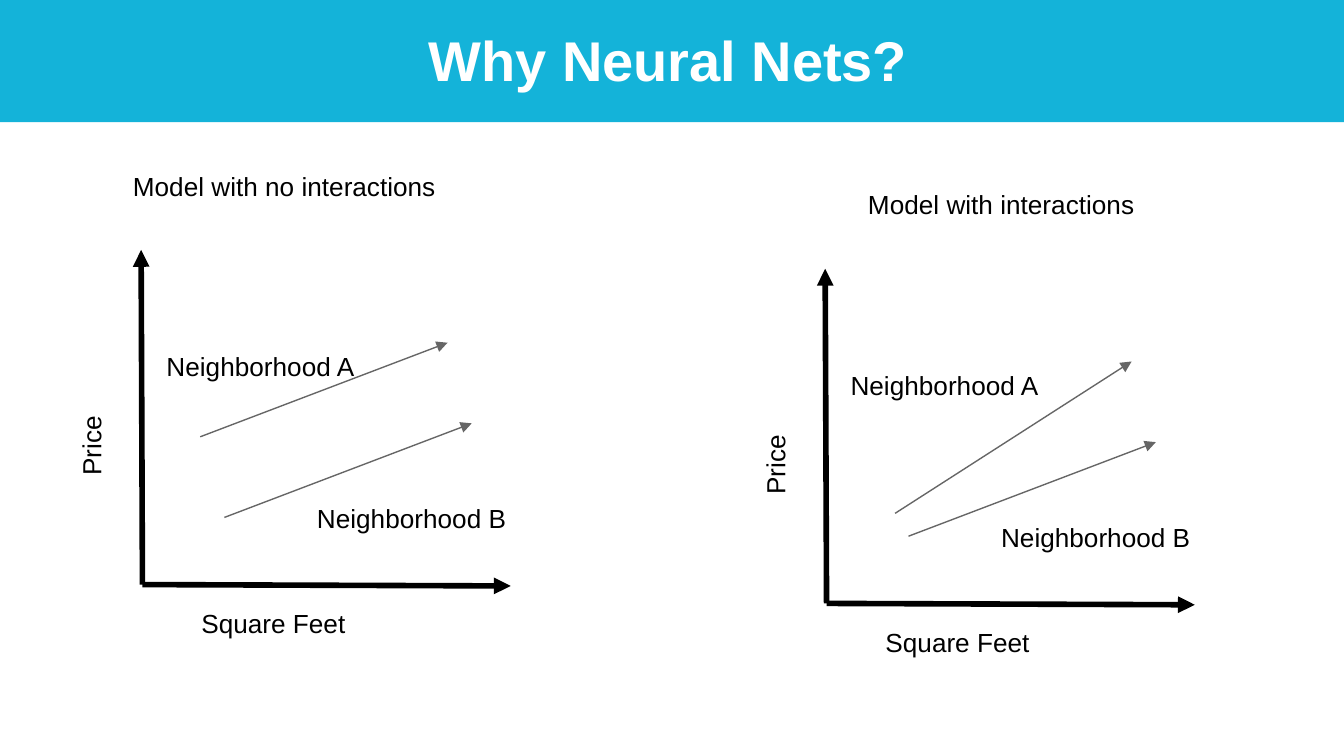
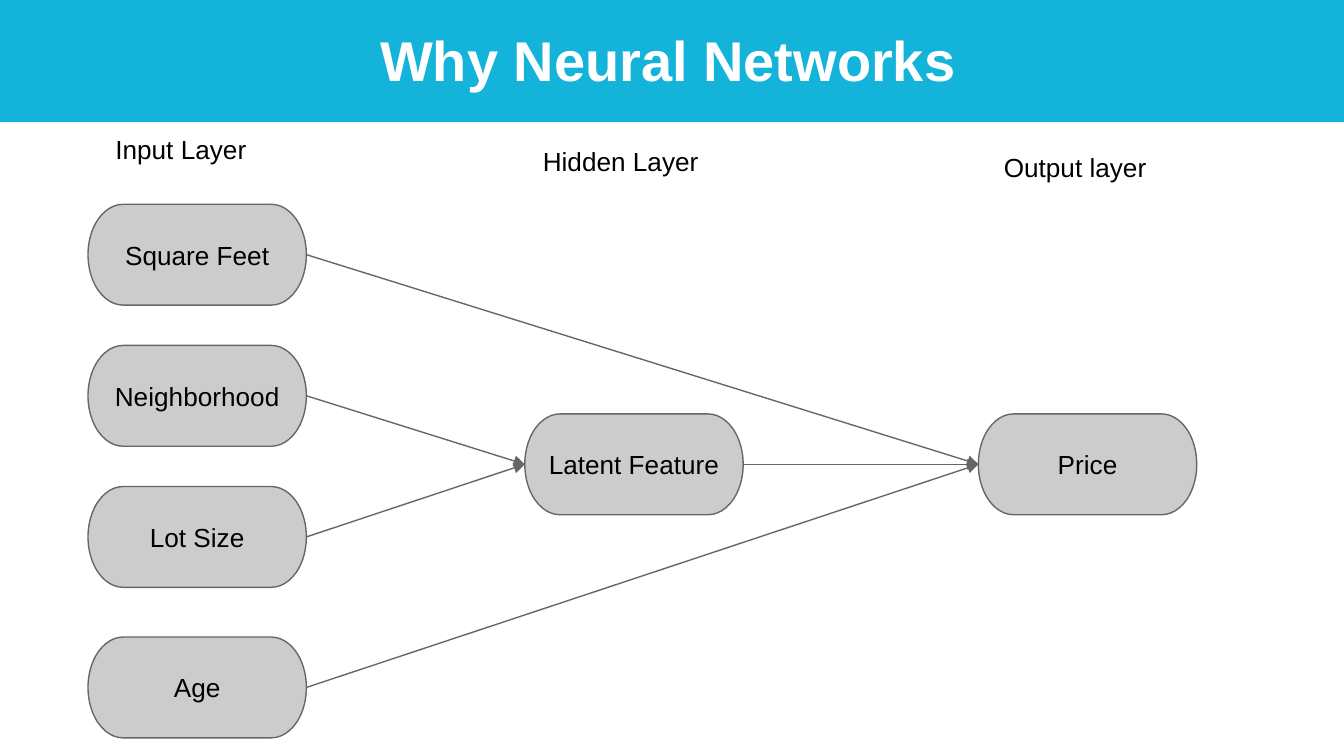
from dataclasses import dataclass

from lxml.etree import SubElement
from pptx import Presentation
from pptx.dml.color import RGBColor
from pptx.enum.shapes import MSO_CONNECTOR, MSO_SHAPE
from pptx.enum.text import MSO_ANCHOR, MSO_AUTO_SIZE, PP_ALIGN
from pptx.oxml.ns import qn
from pptx.util import Inches, Pt


@dataclass(frozen=True)
class Theme:
    font: str = "Arial"
    title_size: float = 30
    body_size: float = 14
    axis_width: float = 3
    thin_width: float = 0.75
    band: RGBColor = RGBColor(0x14, 0xB3, 0xD9)
    white: RGBColor = RGBColor(0xFF, 0xFF, 0xFF)
    black: RGBColor = RGBColor(0, 0, 0)
    node: RGBColor = RGBColor(0xCC, 0xCC, 0xCC)
    grey: RGBColor = RGBColor(0x66, 0x66, 0x66)


THEME = Theme()

# Grid of 100 columns by 56.25 rows; every cell is a tenth of an inch
COLUMNS, ROWS = 100, 56.25
INSET = 1
NODE_SIZE = (16.25, 7.5)
TOP, LEFT, BOTTOM, RIGHT = range(4)  # connection sites of a node


def cells(*counts):
    return [Inches(count / 10) for count in counts]


def set_all(target, values):
    for name, value in values.items():
        setattr(target, name, value)


def write(shape, words, anchor=MSO_ANCHOR.TOP, align=PP_ALIGN.LEFT,
          size=THEME.body_size, color=THEME.black, bold=False):
    frame = shape.text_frame
    frame.text = words
    inset = cells(INSET)[0]
    set_all(frame, {
        "word_wrap": True, "auto_size": MSO_AUTO_SIZE.NONE,
        "vertical_anchor": anchor,
        "margin_left": inset, "margin_right": inset,
        "margin_top": inset, "margin_bottom": inset,
    })
    paragraph = frame.paragraphs[0]
    paragraph.alignment = align
    font = paragraph.runs[0].font
    set_all(font, {"name": THEME.font, "size": Pt(size), "bold": bold})
    font.color.rgb = color


def add_titled_slide(deck, heading):
    slide = deck.slides.add_slide(deck.slide_layouts[5])
    title = slide.shapes.title
    set_all(title, dict(zip(("left", "top", "width", "height"),
                            cells(0.7, 0.9, 98, 7.5))))
    write(title, heading, align=PP_ALIGN.CENTER, size=THEME.title_size,
          color=THEME.white, bold=True)

    # Band behind the title
    band = slide.shapes.add_shape(MSO_SHAPE.RECTANGLE, *cells(0, 0, COLUMNS, 9.1))
    band.shadow.inherit = False
    band.fill.solid()
    band.fill.fore_color.rgb = THEME.band
    band.line.fill.background()
    title.element.addprevious(band.element)
    return slide


def add_label(slide, words, column, row, width, height=3.2, rotation=0):
    label = slide.shapes.add_textbox(*cells(column, row, width, height))
    label.rotation = rotation
    write(label, words)


def add_arrow(slide, start=(0, 0), end=(0, 0), color=THEME.grey,
              width=THEME.thin_width):
    arrow = slide.shapes.add_connector(MSO_CONNECTOR.STRAIGHT, *cells(*start, *end))
    arrow.line.color.rgb = color
    arrow.line.width = Pt(width)
    SubElement(arrow.line._get_or_add_ln(), qn("a:tailEnd"), type="triangle")
    SubElement(arrow.element.spPr, qn("a:effectLst"))
    return arrow


def add_node(slide, words, column, row):
    node = slide.shapes.add_shape(MSO_SHAPE.FLOWCHART_TERMINATOR,
                                  *cells(column, row, *NODE_SIZE))
    node.shadow.inherit = False
    node.fill.solid()
    node.fill.fore_color.rgb = THEME.node
    node.line.color.rgb = THEME.grey
    node.line.width = Pt(THEME.thin_width)
    write(node, words, MSO_ANCHOR.MIDDLE, PP_ALIGN.CENTER)
    return node


def link(slide, source, target):
    arrow = add_arrow(slide)
    arrow.begin_connect(source, RIGHT)
    arrow.end_connect(target, LEFT)


def add_price_plot(slide, origin, caption, caption_shift, trend_a_start):
    """Draw a price plot; all places are counted from its origin."""
    def place(column, row):
        return origin[0] + column, origin[1] + row

    # Axes
    for tip in ((-0.1, -24.9), (27.4, 0.1)):
        add_arrow(slide, origin, place(*tip), THEME.black, THEME.axis_width)

    # Trends of neighborhoods A and B
    for start, end in ((trend_a_start, (22.7, -18)), ((6.1, -5), (24.5, -12))):
        add_arrow(slide, place(*start), place(*end))

    add_label(slide, "Square Feet", *place(3.4, 0.7), 19.3)
    add_label(slide, "Price", *place(-9.3, -14.6), 10.8, 4.2, rotation=270)
    add_label(slide, "Neighborhood B", *place(12, -7.1), 17.2)
    add_label(slide, "Neighborhood A", *place(0.8, -18.4), 17.2)
    add_label(slide, caption, *place(caption_shift, -31.85), 30.8, 4.3)


def build_interactions(deck):
    slide = add_titled_slide(deck, "Why Neural Nets?")
    add_price_plot(slide, (10.6, 43.5), "Model with no interactions", -1.7, (4.3, -11))
    add_price_plot(slide, (61.5, 44.9), "Model with interactions", 2.1, (5.1, -6.7))


def build_network(deck):
    slide = add_titled_slide(deck, "Why Neural Networks")

    # Layers of the network
    input_rows = {"Square Feet": 15.2, "Neighborhood": 25.7,
                  "Lot Size": 36.2, "Age": 47.4}
    inputs = {words: add_node(slide, words, 6.55, row)
              for words, row in input_rows.items()}
    latent = add_node(slide, "Latent Feature", 39.05, 30.8)
    price = add_node(slide, "Price", 72.8, 30.8)

    # Flow from inputs to price
    for words in ("Neighborhood", "Lot Size"):
        link(slide, inputs[words], latent)
    for source in (latent, inputs["Age"], inputs["Square Feet"]):
        link(slide, source, price)

    # Layer headings
    add_label(slide, "Input Layer", 7.6, 8.9, 17.5)
    add_label(slide, "Hidden Layer", 39.4, 9.8, 19.9, 4.1)
    add_label(slide, "Output layer", 73.7, 10.3, 16.8)


def main():
    deck = Presentation()
    deck.slide_width, deck.slide_height = cells(COLUMNS, ROWS)
    build_interactions(deck)
    build_network(deck)
    deck.save("out.pptx")


if __name__ == "__main__":
    main()
